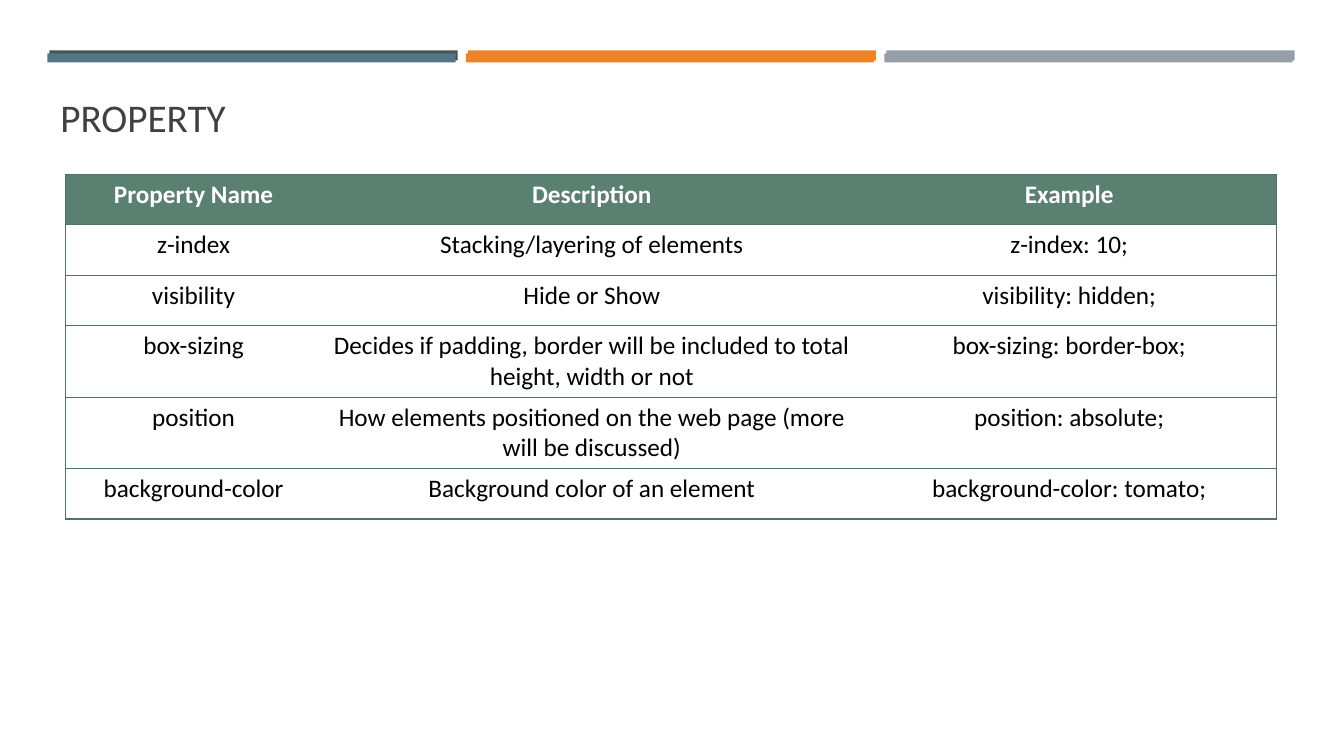
from lxml.etree import SubElement
from pptx import Presentation
from pptx.dml.color import RGBColor
from pptx.enum.shapes import MSO_SHAPE
from pptx.enum.text import MSO_ANCHOR, PP_ALIGN
from pptx.oxml.ns import qn
from pptx.util import Inches, Pt

TITLE = "PROPERTY"
ROWS = [
    ("Property Name", "Description", "Example"),
    ("z-index", "Stacking/layering of elements", "z-index: 10;"),
    ("visibility", "Hide or Show", "visibility: hidden;"),
    ("box-sizing", "Decides if padding, border will be included to total height, width or not",
     "box-sizing: border-box;"),
    ("position", "How elements positioned on the web page (more will be discussed)",
     "position: absolute;"),
    ("background-color", "Background color of an element", "background-color: tomato;"),
]
WIDTHS = (2.54, 5.36, 4.11)
HEIGHTS = (0.5, 0.5, 0.5, 0.71, 0.71, 0.5)
BACK_BARS = ("465359", "ED8428", "969FA7")
FRONT_BARS = ("537685", "ED8428", "969FA7")
BAR_WIDTH, BAR_STEP = 4.05, 4.15
FONT = "Calibri"
RULE = "517366"


def color(text):
    return RGBColor.from_string(text)


def add_bars(slide, left, top, height, fills):
    for i, fill in enumerate(fills):
        bar = slide.shapes.add_shape(
            MSO_SHAPE.RECTANGLE, Inches(left + i * BAR_STEP), Inches(top),
            Inches(BAR_WIDTH), Inches(height))
        bar.shadow.inherit = False
        bar.fill.solid()
        bar.fill.fore_color.rgb = color(fill)
        bar.line.fill.background()


def add_run(para, text, size, ink, bold=False):
    run = para.add_run()
    run.text = text
    font = run.font
    font.name, font.size, font.bold = FONT, Pt(size), bold
    font.color.rgb = color(ink)


def add_title(slide):
    box = slide.shapes.add_textbox(Inches(0.5), Inches(0.76), Inches(12.32), Inches(0.68))
    frame = box.text_frame
    frame.word_wrap = True
    frame.vertical_anchor = MSO_ANCHOR.BOTTOM
    add_run(frame.paragraphs[0], TITLE, 28, "404040")


def set_rules(cell, first, last):
    """Rule the cell above and below, and on the outer sides of the table."""
    props = cell._tc.get_or_add_tcPr()
    for side, shown in (("L", first), ("R", last), ("T", True), ("B", True)):
        line = SubElement(props, qn(f"a:ln{side}"), w=str(Pt(1)))
        if shown:
            fill = SubElement(line, qn("a:solidFill"))
            SubElement(fill, qn("a:srgbClr"), val=RULE)
        else:
            SubElement(line, qn("a:noFill"))


def add_grid(slide):
    table = slide.shapes.add_table(
        len(ROWS), len(WIDTHS), Inches(0.65), Inches(1.73),
        Inches(sum(WIDTHS)), Inches(sum(HEIGHTS))).table
    table.horz_banding = False
    for col, width in zip(table.columns, WIDTHS):
        col.width = Inches(width)
    for r, (texts, height) in enumerate(zip(ROWS, HEIGHTS)):
        table.rows[r].height = Inches(height)
        head = r == 0
        for c, text in enumerate(texts):
            cell = table.cell(r, c)
            set_rules(cell, c == 0, c == len(WIDTHS) - 1)
            cell.fill.solid()
            cell.fill.fore_color.rgb = color("5A8071" if head else "FFFFFF")
            para = cell.text_frame.paragraphs[0]
            para.alignment = PP_ALIGN.CENTER
            add_run(para, text, 18, "FFFFFF" if head else "000000", head)


def main():
    deck = Presentation()
    deck.slide_width, deck.slide_height = Inches(13.33), Inches(7.5)
    slide = deck.slides.add_slide(deck.slide_layouts[6])
    add_bars(slide, 0.49, 0.5, 0.1, BACK_BARS)
    add_bars(slide, 0.47, 0.53, 0.09, FRONT_BARS)
    add_title(slide)
    add_grid(slide)
    deck.save("out.pptx")


if __name__ == "__main__":
    main()
